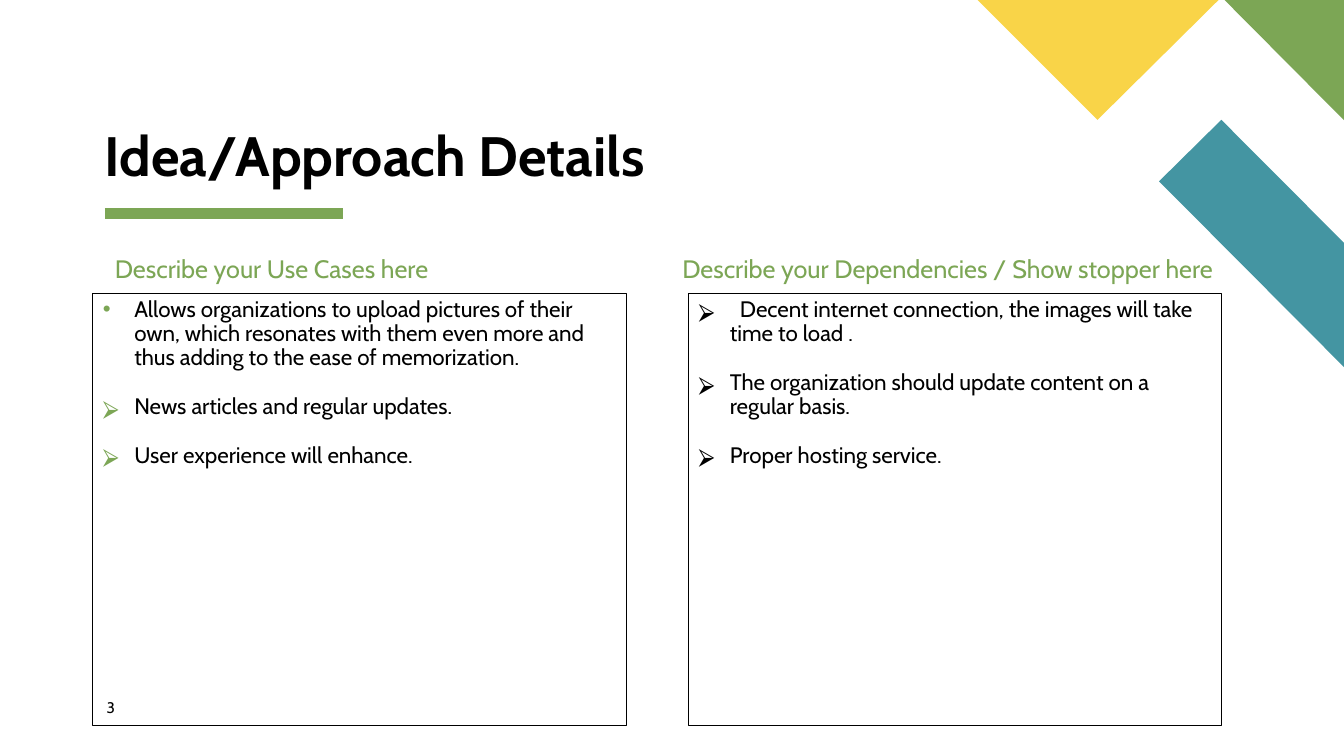
from lxml import etree
from pptx import Presentation
from pptx import util as u
from pptx.dml.color import RGBColor
from pptx.enum import shapes, text
from pptx.oxml.ns import qn

Cm, Pt = u.Cm, u.Pt
COLORS = {"black": "000000", "green": "7CA655", "teal": "4495A2", "yellow": "F9D448"}
FONT = "Cabin"
INDENT = Cm(0.79)
ARROW, DOT = "⮚", "•"


def rgb(name):
    return RGBColor.from_string(COLORS[name])


def set_bullet(p, char, color):
    pPr = p._p.get_or_add_pPr()
    if not char:
        pPr.set("marL", "0")
        pPr.set("indent", "0")
        etree.SubElement(pPr, qn("a:buNone"))
        return
    pPr.set("marL", str(INDENT))
    pPr.set("indent", str(-INDENT))
    clr = etree.SubElement(pPr, qn("a:buClr"))
    etree.SubElement(clr, qn("a:srgbClr"), val=COLORS[color])
    face = "Noto Sans Symbols" if char == ARROW else "Arial"
    etree.SubElement(pPr, qn("a:buFont"), typeface=face)
    etree.SubElement(pPr, qn("a:buChar"), char=char)


def write(p, content, size=16, color="black", bold=False, spacing=0.9,
          before=0, bullet=None, bullet_color="black"):
    p.alignment = text.PP_ALIGN.LEFT
    p.line_spacing = spacing
    p.space_before, p.space_after = Pt(before), Pt(0)
    set_bullet(p, bullet, bullet_color)
    r = p.add_run()
    r.text = content
    r.font.name, r.font.size, r.font.bold = FONT, Pt(size), bold
    r.font.color.rgb = rgb(color)


def place(sp, left, top, width, height, anchor=text.MSO_ANCHOR.TOP, inset=True):
    sp.left, sp.top, sp.width, sp.height = map(Cm, (left, top, width, height))
    tf = sp.text_frame
    tf.word_wrap = True
    tf.auto_size = text.MSO_AUTO_SIZE.NONE
    tf.vertical_anchor = anchor
    if not inset:
        tf.margin_left = tf.margin_right = tf.margin_top = tf.margin_bottom = 0
    return tf


def add_polygon(s, color, points):
    points = [(Cm(x), Cm(y)) for x, y in points]
    builder = s.shapes.build_freeform(*points[0])
    builder.add_line_segments(points[1:], close=True)
    sp = builder.convert_to_shape()
    sp.shadow.inherit = False
    sp.fill.solid()
    sp.fill.fore_color.rgb = rgb(color)
    sp.line.fill.background()


def add_rule(s, x1, x2, y):
    line = s.shapes.add_connector(shapes.MSO_CONNECTOR.STRAIGHT, Cm(x1), Cm(y), Cm(x2), Cm(y))
    line.line.color.rgb = rgb("green")
    line.line.width = Pt(8)
    etree.SubElement(line._element.spPr, qn("a:effectLst"))


def fill_heading(sp, left, width, content):
    tf = place(sp, left, 6.35, width, 0.89)
    write(tf.paragraphs[0], content, size=18, color="green")


def fill_list(sp, left, items, bullet_color):
    tf = place(sp, left, 7.39, 13.44, 10.9)
    sp.line.color.rgb = rgb("black")
    sp.line.width = Pt(0.75)
    for i, (bullet, content) in enumerate(items):
        p = tf.add_paragraph() if i else tf.paragraphs[0]
        write(p, content, before=17.5 if i else 0, bullet=bullet, bullet_color=bullet_color)


def main():
    prs = Presentation()
    prs.slide_width, prs.slide_height = Cm(33.87), Cm(19.05)
    s = prs.slides.add_slide(prs.slide_layouts.get_by_name("Comparison"))
    title, left_head, left_list, right_head, right_list = s.placeholders

    add_rule(s, 2.64, 8.64, 5.38)
    add_polygon(s, "teal", [(33.87, 9.25), (33.87, 6.12), (30.78, 3.02), (29.21, 4.57)])
    add_polygon(s, "green", [(33.87, 3.03), (33.87, 0), (30.86, 0)])
    add_polygon(s, "yellow", [(24.64, 0), (27.66, 3.02), (30.71, 0)])

    tf = place(title, 2.64, 3.05, 16.05, 1.7, text.MSO_ANCHOR.BOTTOM, inset=False)
    write(tf.paragraphs[0], "Idea/Approach Details", size=39.6, bold=True)

    fill_heading(left_head, 2.64, 13.44, "Describe your Use Cases here")
    fill_list(left_list, 2.34, [
        (DOT, "Allows organizations to upload pictures of their own, which resonates "
              "with them even more and thus adding to the ease of memorization."),
        (ARROW, "News articles and regular updates."),
        (ARROW, "User experience will enhance."),
    ], "green")

    fill_heading(right_head, 16.94, 14.27, "Describe your Dependencies / Show stopper here")
    fill_list(right_list, 17.35, [
        (ARROW, "  Decent internet connection, the images will take time to load ."),
        (ARROW, "The organization should update content on a regular basis."),
        (ARROW, "Proper hosting service."),
    ], "black")

    number = s.shapes.add_textbox(0, 0, 0, 0)
    tf = place(number, 2.69, 17.58, 1.45, 0.69, inset=False)
    write(tf.paragraphs[0], "3", size=11, spacing=1.0)

    prs.save("out.pptx")


if __name__ == "__main__":
    main()
